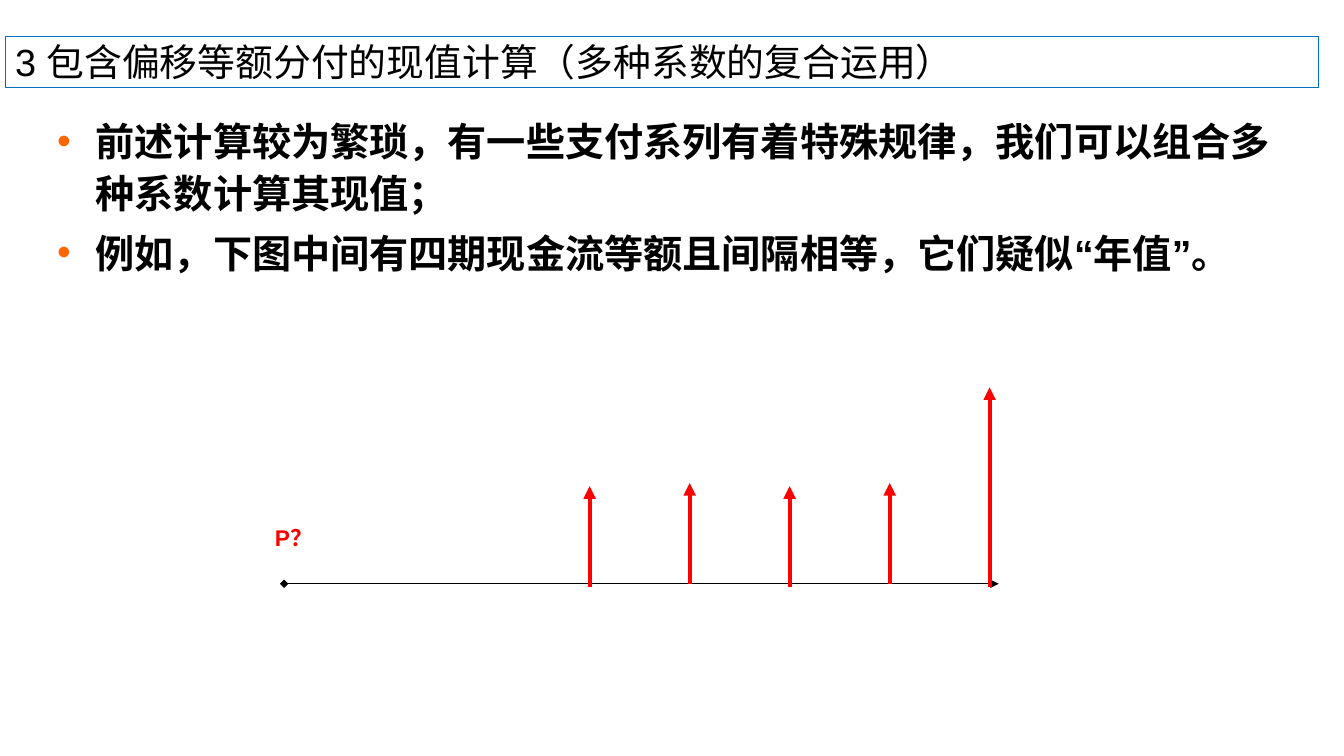
import dataclasses

import pptx
import pptx.dml.color
import pptx.enum.shapes
import pptx.enum.text
import pptx.oxml.ns
import pptx.util
from lxml import etree

Cm = pptx.util.Cm
Pt = pptx.util.Pt
qn = pptx.oxml.ns.qn


@dataclasses.dataclass(frozen=True)
class Theme:
    font: str = "Arial"
    ink: str = "000000"
    frame: str = "0070C0"
    bullet: str = "FF6600"
    flow: str = "FF0000"
    title_size: float = 27
    body_size: float = 28
    thin: float = 0.75
    thick: float = 3


THEME = Theme()
BODY = [
    "前述计算较为繁琐，有一些支付系列有着特殊规律，我们可以组合多种系数计算其现值；",
    "例如，下图中间有四期现金流等额且间隔相等，它们疑似“年值”。",
]
AXIS_Y = 14.71
FIRST_FLOW_X = 14.86
FLOW_STEP = 2.52
FLOW_DROPS = [0.08, 0, 0.08, 0, 0.08]
FLOW_HEIGHTS = [2.54] * 4 + [5.03]


def rgb(color):
    return pptx.dml.color.RGBColor.from_string(color)


def add_run(p, text, size, color, bold=False):
    r = p.add_run()
    r.text = text
    r.font.name = THEME.font
    r.font.size = Pt(size)
    r.font.bold = bold
    r.font.color.rgb = rgb(color)
    etree.SubElement(r.font._element, qn("a:ea"), typeface=THEME.font)
    return r


def add_text_box(s, left, top, width, height):
    sp = s.shapes.add_textbox(Cm(left), Cm(top), Cm(width), Cm(height))
    sp.text_frame.word_wrap = True
    return sp


def add_title(s, text):
    sp = add_text_box(s, 0.13, 0.91, 33.1, 1.3)
    sp.line.color.rgb = rgb(THEME.frame)
    sp.line.width = Pt(THEME.thin)
    tf = sp.text_frame
    tf.vertical_anchor = pptx.enum.text.MSO_ANCHOR.MIDDLE
    add_run(tf.paragraphs[0], text, THEME.title_size, THEME.ink)


def set_bullet(p):
    indent = Cm(0.97)
    pPr = p._p.get_or_add_pPr()
    pPr.set("marL", str(indent))
    pPr.set("indent", str(-indent))
    color = etree.SubElement(pPr, qn("a:buClr"))
    etree.SubElement(color, qn("a:srgbClr"), val=THEME.bullet)
    etree.SubElement(pPr, qn("a:buFont"), typeface=THEME.font)
    etree.SubElement(pPr, qn("a:buChar"), char="•")


def add_body(s, texts):
    tf = add_text_box(s, 1.19, 2.72, 31.47, 15.6).text_frame
    for i, text in enumerate(texts):
        p = tf.add_paragraph() if i else tf.paragraphs[0]
        p.line_spacing = 1.1
        p.space_before = Pt(THEME.body_size * 0.2)
        set_bullet(p)
        add_run(p, text, THEME.body_size, THEME.ink, bold=True)


def add_arrow(s, start, end, color, width, head=None):
    points = [Cm(v) for v in (*start, *end)]
    line = s.shapes.add_connector(pptx.enum.shapes.MSO_CONNECTOR.STRAIGHT, *points)
    line.line.color.rgb = rgb(color)
    line.line.width = Pt(width)
    ln = line.line._get_or_add_ln()
    if head:
        etree.SubElement(ln, qn("a:headEnd"), type=head)
    etree.SubElement(ln, qn("a:tailEnd"), type="triangle")
    etree.SubElement(line._element.spPr, qn("a:effectLst"))


def add_cash_flows(s):
    add_arrow(s, (7.16, AXIS_Y), (25.17, AXIS_Y), THEME.ink, THEME.thin, "diamond")
    for i, (drop, height) in enumerate(zip(FLOW_DROPS, FLOW_HEIGHTS)):
        x = FIRST_FLOW_X + i * FLOW_STEP
        base = AXIS_Y + drop
        add_arrow(s, (x, base), (x, base - height), THEME.flow, THEME.thick)


def add_present_value(s, text):
    tf = add_text_box(s, 6.68, 12.42, 1.63, 1.45).text_frame
    r = add_run(tf.paragraphs[0], text, THEME.body_size, THEME.flow, bold=True)
    r.font._element.set("baseline", "-25000")


def main():
    prs = pptx.Presentation()
    prs.slide_width = Cm(33.87)
    prs.slide_height = Cm(19.05)
    s = prs.slides.add_slide(prs.slide_layouts[6])
    add_title(s, "3 包含偏移等额分付的现值计算（多种系数的复合运用）")
    add_body(s, BODY)
    add_cash_flows(s)
    add_present_value(s, "P？")
    prs.save("out.pptx")


if __name__ == "__main__":
    main()
